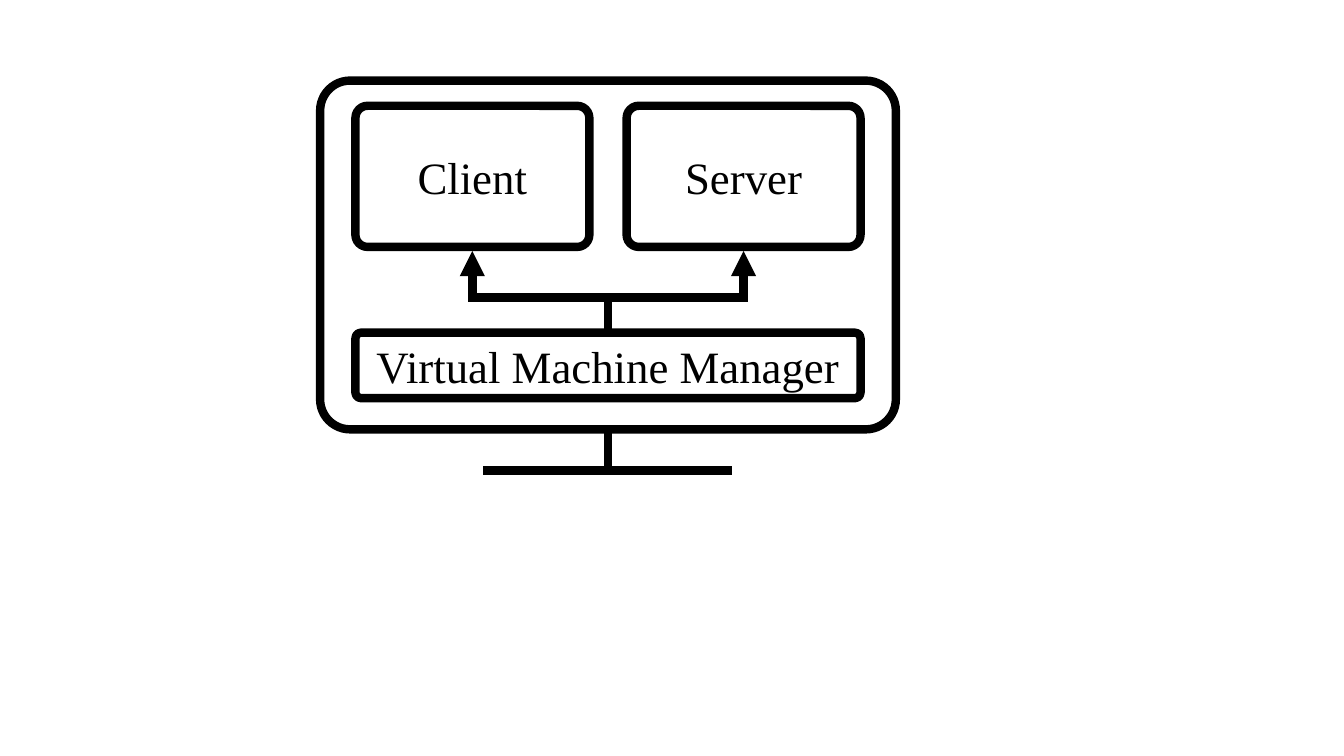
from pptx import Presentation, util as u
from pptx.dml.color import RGBColor
from pptx.enum import shapes, text
from pptx.oxml import ns
from lxml import etree

BLACK = RGBColor(0, 0, 0)
WHITE = RGBColor(255, 255, 255)
FONT, SIZE, LINE = "Times New Roman", 32, 6

GUESTS = ["Client", "Server"]
MANAGER = "Virtual Machine Manager"

MID = 6.03
SCREEN_W, SCREEN_TOP, SCREEN_H = 5.71, 0.8, 3.46
INNER_W, GAP = 5.01, 0.37
GUEST_TOP, GUEST_H = 1.05, 1.4
MANAGER_TOP, MANAGER_H = 3.3, 0.65
BUS_Y, TIP_Y, FOOT_Y, FOOT_W = 2.95, 2.49, 4.67, 2.47
HALF = LINE / 72 / 2

deck = Presentation()
deck.slide_width, deck.slide_height = u.Inches(13.33), u.Inches(7.5)
slide = deck.slides.add_slide(deck.slide_layouts[6])


def box(mid, top, wide, high, label=""):
    part = slide.shapes.add_shape(
        shapes.MSO_SHAPE.ROUNDED_RECTANGLE,
        *map(u.Inches, (mid - wide / 2, top, wide, high)))
    part.adjustments[0] = 0.086
    part.shadow.inherit = False
    part.fill.solid()
    part.fill.fore_color.rgb = WHITE
    part.line.color.rgb = BLACK
    part.line.width = u.Pt(LINE)
    if label:
        frame = part.text_frame
        frame.word_wrap = True
        frame.vertical_anchor = text.MSO_ANCHOR.MIDDLE
        para = frame.paragraphs[0]
        para.text = label
        para.alignment = text.PP_ALIGN.CENTER
        para.font.name, para.font.size = FONT, u.Pt(SIZE)
        para.font.color.rgb = BLACK


def link(x1, y1, x2, y2, arrow=False):
    part = slide.shapes.add_connector(
        shapes.MSO_CONNECTOR.STRAIGHT, *map(u.Inches, (x1, y1, x2, y2)))
    part.line.color.rgb = BLACK
    part.line.width = u.Pt(LINE)
    if arrow:
        etree.SubElement(part.line._get_or_add_ln(), ns.qn("a:tailEnd"), type="triangle")
    etree.SubElement(part._element.spPr, ns.qn("a:effectLst"))


box(MID, SCREEN_TOP, SCREEN_W, SCREEN_H)
link(MID - FOOT_W / 2, FOOT_Y, MID + FOOT_W / 2, FOOT_Y)
link(MID, SCREEN_TOP + SCREEN_H, MID, FOOT_Y)

guest_w = (INNER_W - GAP) / 2
step = guest_w + GAP
mids = [MID + (i - (len(GUESTS) - 1) / 2) * step for i in range(len(GUESTS))]
for name, mid in zip(GUESTS, mids):
    box(mid, GUEST_TOP, guest_w, GUEST_H, name)
    link(mid, BUS_Y + HALF, mid, TIP_Y, arrow=True)

link(mids[0] - HALF, BUS_Y, mids[-1] + HALF, BUS_Y)
box(MID, MANAGER_TOP, INNER_W, MANAGER_H, MANAGER)
link(MID, BUS_Y, MID, MANAGER_TOP + HALF)

deck.save("out.pptx")
